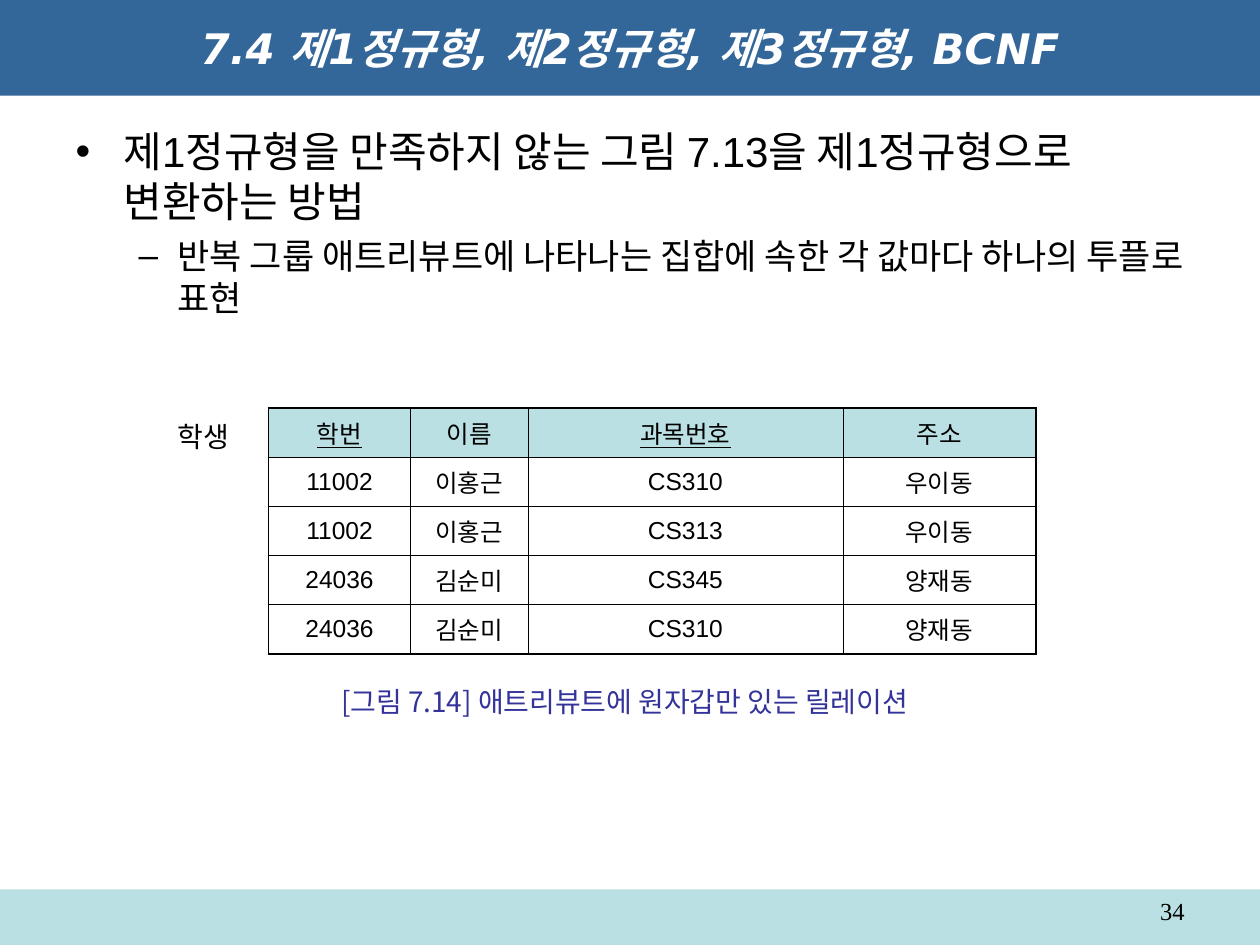
from dataclasses import dataclass

import pptx
import pptx.dml.color
import pptx.enum.shapes
import pptx.enum.text
import pptx.oxml
import pptx.oxml.ns
import pptx.util

Inches = pptx.util.Inches
Pt = pptx.util.Pt
RGBColor = pptx.dml.color.RGBColor
Align = pptx.enum.text.PP_ALIGN
Anchor = pptx.enum.text.MSO_ANCHOR
Fit = pptx.enum.text.MSO_AUTO_SIZE

BLACK = RGBColor(0, 0, 0)
WHITE = RGBColor(255, 255, 255)
BLUE = RGBColor(0x33, 0x66, 0x99)
NAVY = RGBColor(0x33, 0x33, 0x99)
AQUA = RGBColor(0xBB, 0xE0, 0xE3)
HANGUL = "Noto Sans CJK KR"
THIN = 0.45
THICK = 1.08


@dataclass
class Face:
    size: float
    name: str
    color: RGBColor = BLACK
    bold: bool = False
    slant: bool = False
    under: bool = False


@dataclass
class Point:
    text: str
    level: int
    size: float
    line: float
    before: float
    left: float
    hang: float


@dataclass
class Label:
    text: str
    box: tuple
    face: Face
    align: Align = Align.LEFT
    anchor: Anchor = Anchor.TOP
    wrap: bool = False


POINTS = [
    Point("제1정규형을 만족하지 않는 그림 7.13을 제1정규형으로 변환하는 방법",
          0, 24, 28.5, 0, 0.38, 0.38),
    Point("반복 그룹 애트리뷰트에 나타나는 집합에 속한 각 값마다 하나의 투플로 표현",
          1, 20, 24, 5, 0.81, 0.31),
]
LABELS = [
    Label("34", (7.17, 7.06, 2.33, 0.29), Face(14, "Times New Roman"),
          Align.RIGHT, wrap=True),
    Label("학생", (1.31, 3.28, 0.63, 0.37), Face(16, "Noto Sans CJK JP")),
    Label("[그림 7.14] 애트리뷰트에 원자갑만 있는 릴레이션",
          (2.61, 5.38, 5.13, 0.37), Face(16, HANGUL, NAVY),
          anchor=Anchor.MIDDLE),
]
ROWS = [
    ("학번", "이름", "과목번호", "주소"),
    ("11002", "이홍근", "CS310", "우이동"),
    ("11002", "이홍근", "CS313", "우이동"),
    ("24036", "김순미", "CS345", "양재동"),
    ("24036", "김순미", "CS310", "양재동"),
]
KEYS = ("학번", "과목번호")
WIDTHS = (1.13, 0.93, 2.5, 1.53)
HEIGHT = 0.39


def style(para, face: Face) -> None:
    for run in para.runs:
        font = run.font
        font.size = Pt(face.size)
        font.name = face.name
        font.bold = face.bold
        font.italic = face.slant
        font.underline = face.under
        font.color.rgb = face.color
        east = pptx.oxml.parse_xml(
            f'<a:ea {pptx.oxml.ns.nsdecls("a")} typeface="{HANGUL}"/>')
        font._element.find(pptx.oxml.ns.qn("a:latin")).addnext(east)


def place(shape, box: tuple) -> None:
    shape.left, shape.top, shape.width, shape.height = map(Inches, box)


def add_title(shape) -> None:
    place(shape, (0, 0, 10, 0.76))
    shape.fill.solid()
    shape.fill.fore_color.rgb = BLUE
    frame = shape.text_frame
    frame.text = "7.4 제1정규형, 제2정규형, 제3정규형, BCNF"
    frame.auto_size = Fit.NONE
    frame.vertical_anchor = Anchor.MIDDLE
    para = frame.paragraphs[0]
    para.alignment = Align.CENTER
    style(para, Face(24, "DejaVu Sans", WHITE, bold=True, slant=True))


def add_body(shape, points: list[Point]) -> None:
    place(shape, (0.5, 0.95, 9, 5.95))
    frame = shape.text_frame
    frame.text = "\n".join(point.text for point in points)
    frame.auto_size = Fit.NONE
    for para, point in zip(frame.paragraphs, points):
        para.level = point.level
        props = para._p.get_or_add_pPr()
        props.set("marL", str(Inches(point.left)))
        props.set("indent", str(-Inches(point.hang)))
        para.line_spacing = Pt(point.line)
        para.space_before = Pt(point.before)
        style(para, Face(point.size, "Arial"))


def add_band(slide) -> None:
    kind = pptx.enum.shapes.MSO_SHAPE.RECTANGLE
    band = slide.shapes.add_shape(
        kind, *map(Inches, (0, 7.06, 10, 0.44)))
    band.shadow.inherit = False
    band.fill.solid()
    band.fill.fore_color.rgb = AQUA
    band.line.fill.background()


def add_label(slide, label: Label) -> None:
    box = slide.shapes.add_textbox(*map(Inches, label.box))
    frame = box.text_frame
    frame.text = label.text
    frame.word_wrap = label.wrap
    frame.vertical_anchor = label.anchor
    para = frame.paragraphs[0]
    para.alignment = label.align
    style(para, label.face)


def add_edge(cell, side: str, width: float) -> None:
    cell._tc.get_or_add_tcPr().append(pptx.oxml.parse_xml(
        f'<a:ln{side} {pptx.oxml.ns.nsdecls("a")} w="{Pt(width)}">'
        f'<a:solidFill><a:srgbClr val="{BLACK}"/></a:solidFill>'
        f'</a:ln{side}>'))


def add_grid(slide) -> None:
    count, span = len(ROWS), len(WIDTHS)
    frame = slide.shapes.add_table(
        count, span, Inches(2.13), Inches(3.24),
        Inches(sum(WIDTHS)), Inches(HEIGHT * count))
    table = frame.table
    table.first_row = False
    table.horz_banding = False
    for col, width in zip(table.columns, WIDTHS):
        col.width = Inches(width)
    for r, row in enumerate(ROWS):
        table.rows[r].height = Inches(HEIGHT)
        for c, text in enumerate(row):
            cell = table.cell(r, c)
            outer = {"L": c == 0, "R": c == span - 1,
                     "T": r == 0, "B": r == count - 1}
            for side, edge in outer.items():
                add_edge(cell, side, THICK if edge else THIN)
            if r == 0:
                cell.fill.solid()
                cell.fill.fore_color.rgb = AQUA
            else:
                cell.fill.background()
            cell.vertical_anchor = Anchor.MIDDLE
            cell.text_frame.text = text
            para = cell.text_frame.paragraphs[0]
            para.alignment = Align.CENTER
            style(para, Face(14, "Arial", under=text in KEYS))


def main() -> None:
    deck = pptx.Presentation()
    deck.slide_width, deck.slide_height = Inches(10), Inches(7.5)
    slide = deck.slides.add_slide(deck.slide_layouts[1])
    add_title(slide.shapes.title)
    add_body(slide.placeholders[1], POINTS)
    add_band(slide)
    add_grid(slide)
    for label in LABELS:
        add_label(slide, label)
    deck.save("out.pptx")


if __name__ == "__main__":
    main()
